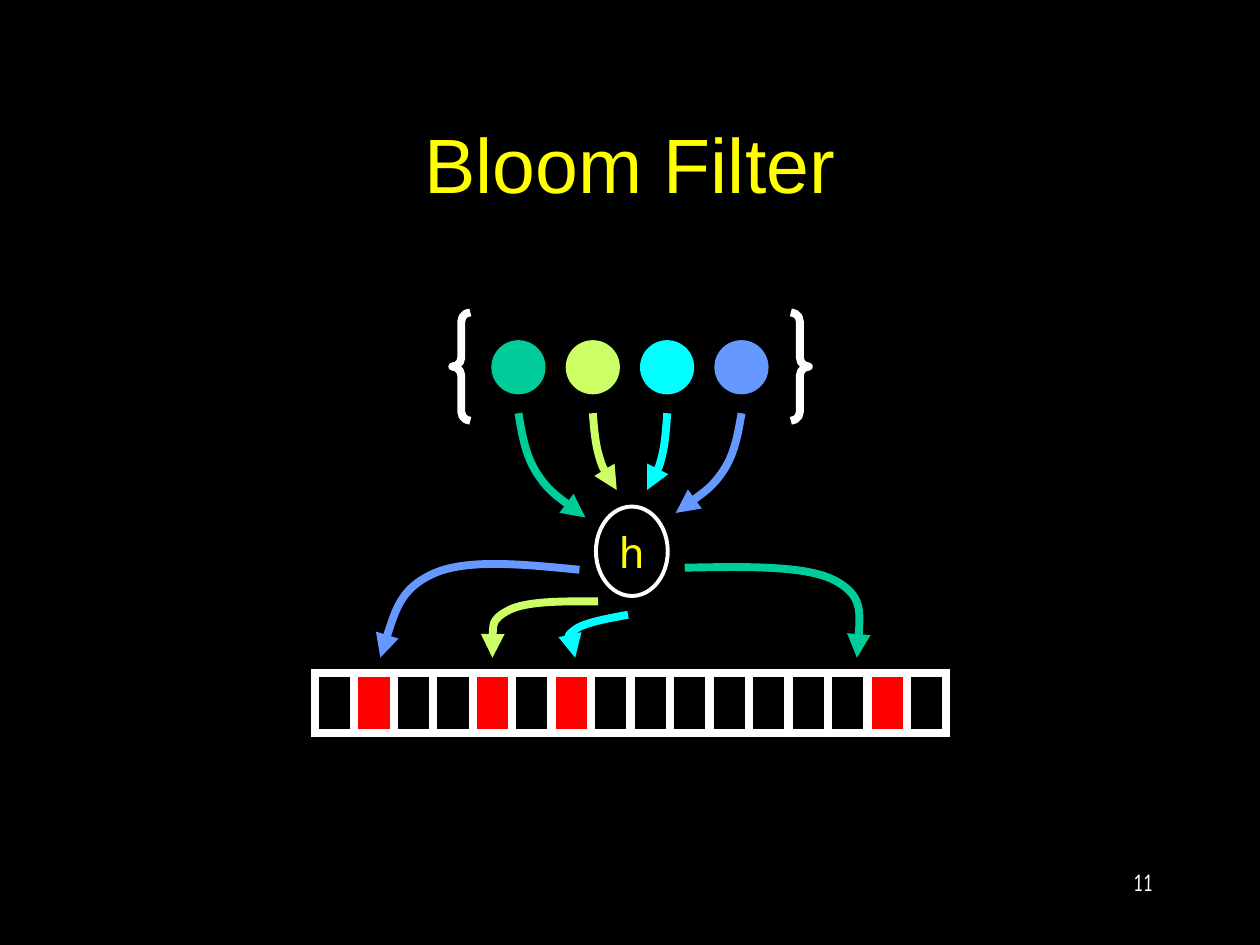
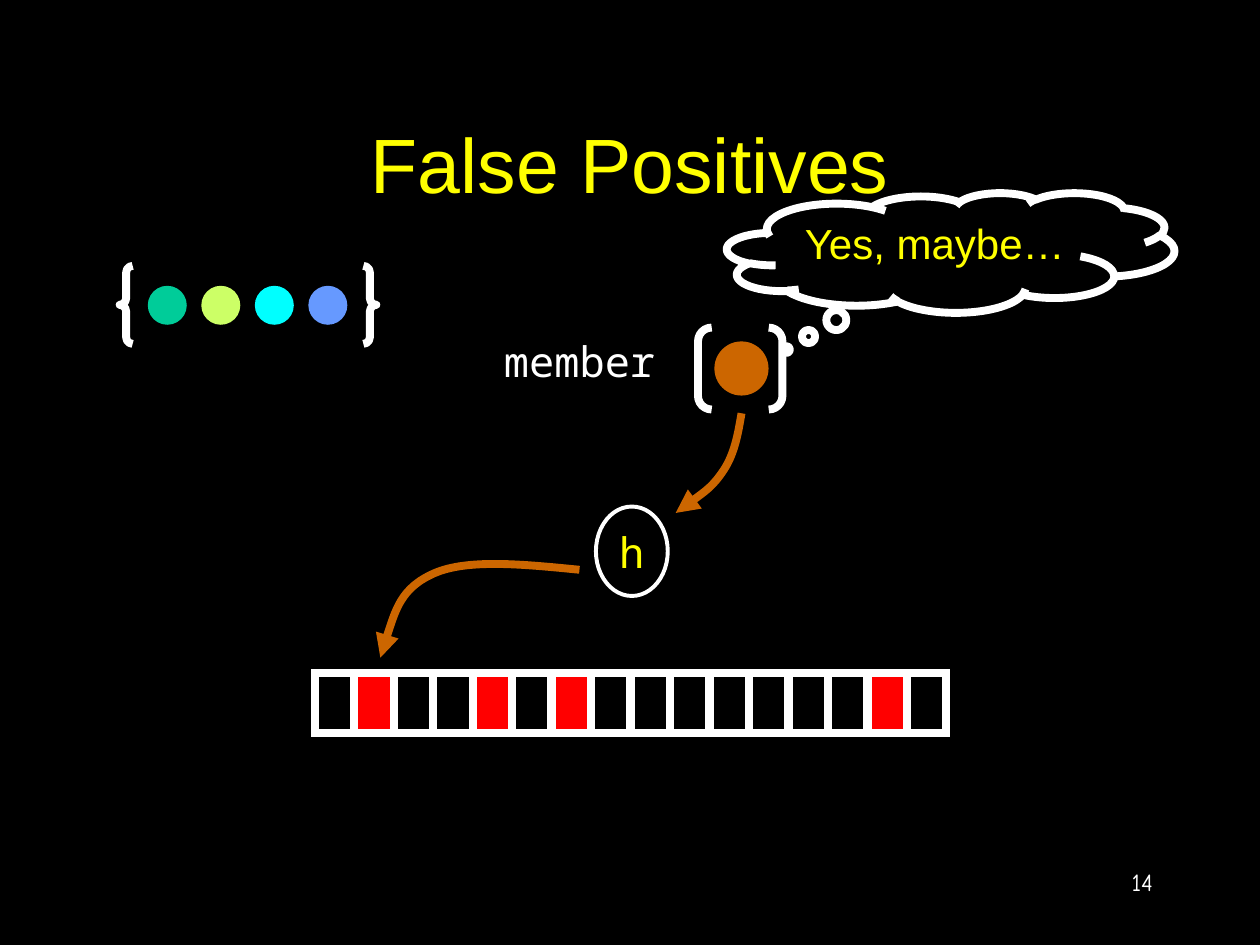
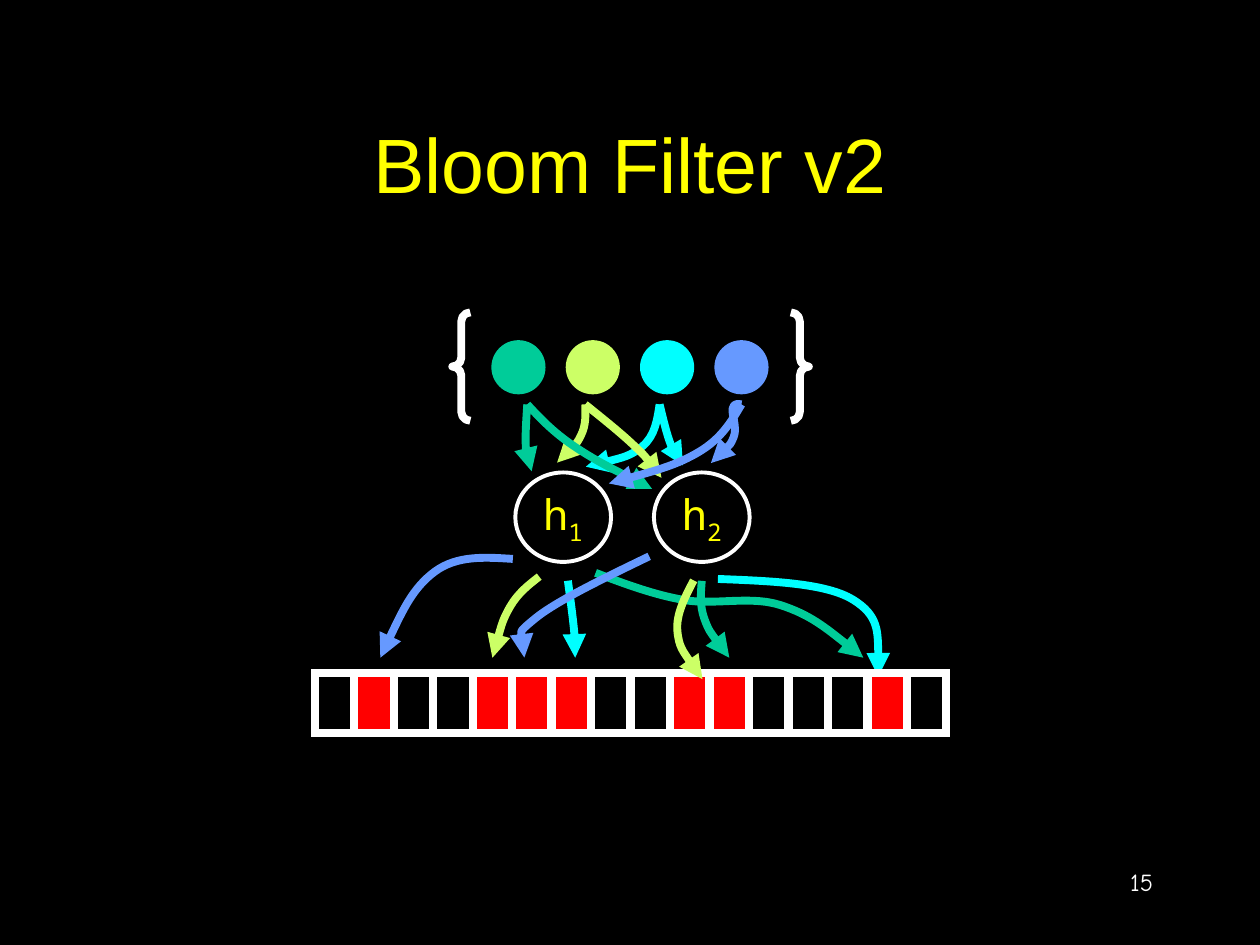
import dataclasses
import math

import lxml.etree
import pptx
import pptx.dml.color
import pptx.enum.shapes
import pptx.enum.text
import pptx.oxml.ns
import pptx.util

Inches = pptx.util.Inches
Pt = pptx.util.Pt
RGBColor = pptx.dml.color.RGBColor
SHAPE = pptx.enum.shapes.MSO_SHAPE
ALIGN = pptx.enum.text.PP_ALIGN
ANCHOR = pptx.enum.text.MSO_ANCHOR
FIT = pptx.enum.text.MSO_AUTO_SIZE
qn = pptx.oxml.ns.qn

BLACK = RGBColor(0x00, 0x00, 0x00)
WHITE = RGBColor(0xFF, 0xFF, 0xFF)
YELLOW = RGBColor(0xFF, 0xFF, 0x00)
RED = RGBColor(0xFF, 0x00, 0x00)
GREEN = RGBColor(0x00, 0xCC, 0x99)
LIME = RGBColor(0xCC, 0xFF, 0x66)
CYAN = RGBColor(0x00, 0xFF, 0xFF)
BLUE = RGBColor(0x66, 0x99, 0xFF)
ORANGE = RGBColor(0xCC, 0x66, 0x00)

TITLE_FONT = {"name": "Arial", "size": Pt(44)}
SPEECH_FONT = {"name": "Arial", "size": Pt(24)}
CODE_FONT = {"name": "Noto Sans Mono", "size": Pt(24)}
PAGE_FONT = {"name": "Comic Neue", "size": Pt(14)}
SNUG = {"word_wrap": False, "auto_size": FIT.SHAPE_TO_FIT_TEXT}
THICK, THIN = 4.5, 2.25

MEMBERS = (GREEN, LIME, CYAN, BLUE)
SET_LEFT, SET_TOP, SET_WIDTH, SET_HEIGHT = 3.59, 2.48, 2.83, 0.86
BALL_INSET_X, BALL_INSET_Y, BALL_SIZE, BALL_STEP = 0.31, 0.22, 0.43, 0.59

CELL_COUNT, ROW_LEFT, ROW_RIGHT, ROW_TOP = 16, 2.5, 7.51, 5.34
CELL_WIDTH, CELL_HEIGHT = 0.31, 0.48
CELL_STEP = (ROW_RIGHT - ROW_LEFT - CELL_WIDTH) / (CELL_COUNT - 1)

STORED_BITS = {1, 4, 6, 14}
STORED_BITS_V2 = STORED_BITS | {5, 9, 10}
COVERING_BITS = {10, 14}

HASH = (4.73, 4.02, 0.57, 0.71)
HASH_1 = (4.09, 3.75, 0.76, 0.71)
HASH_2 = (5.19, 3.75, 0.76, 0.71)

HASH_GAP, TIGHT_GAP, BIT_GAP = 0.15, 0.08, 0.12
NO_LEAN = (0, 0, 0, 0)
LEAN_V2 = (0.07, -0.06, -0.06, 0)
INWARD_BEND = ((0.27, 0.57),)


@dataclasses.dataclass
class Input:
    member: int
    node: tuple
    degrees: float
    bends: tuple = INWARD_BEND


@dataclasses.dataclass
class Output:
    member: int
    node: tuple
    degrees: float
    bit: int
    bends: tuple
    shift: float = 0
    gap: float = BIT_GAP


BLUE_INPUT = Input(3, HASH, 323)
BLUE_OUTPUT = Output(3, HASH, 163, 1, ((0.73, 0.04),), shift=0.05)

INPUTS = [Input(1, HASH, 254), Input(2, HASH, 286), Input(0, HASH, 212), BLUE_INPUT]
OUTPUTS = [
    Output(0, HASH, 15, 14, ((0.87, 0.14),), shift=-0.24),
    BLUE_OUTPUT,
    Output(1, HASH, 128, 4, ((0.85, 0.16),)),
    Output(2, HASH, 94, 6, ((1.02, 0.36),), shift=0.03),
]

INPUTS_V2 = [
    Input(1, HASH_1, 264, ((0.14, 0.52),)),
    Input(2, HASH_1, 293, ((0.23, 0.67),)),
    Input(0, HASH_1, 237, ((-0.33, 0.64),)),
    Input(3, HASH_2, 279, ((0.29, 0.07), (0.25, 0.55))),
    Input(0, HASH_2, 211, ((0.37, 0.49),)),
    Input(1, HASH_2, 226, ((0.65, 0.57),)),
    Input(2, HASH_2, 251, ((0.47, 0.65),)),
    Input(3, HASH_1, 322, ((0.32, 0.6),)),
]
OUTPUTS_V2 = [
    Output(0, HASH_1, 61, 14, ((0.33, 0.32), (0.69, 0.38)), shift=-0.19),
    Output(3, HASH_1, 139, 1, ((0.59, 0.13),), shift=0.05),
    Output(1, HASH_1, 111, 4, ((0.62, 0.37),)),
    Output(2, HASH_1, 86, 6, ((0.83, 0.63),), shift=0.03),
    Output(2, HASH_2, 76, 14, ((0.84, 0.21),), shift=-0.07, gap=-0.03),
    Output(0, HASH_2, 90, 10, ((0.09, 0.49),)),
    Output(1, HASH_2, 97, 9, ((-1.86, 0.51),), shift=0.1, gap=-0.05),
    Output(3, HASH_2, 142, 5, ((0.91, 0.61),), shift=-0.06),
]


def set_values(target, values):
    for attribute, value in values.items():
        setattr(target, attribute, value)


def write(frame, text, font, color, align=ALIGN.CENTER, subscript="", **layout):
    set_values(frame, layout)
    paragraph = frame.paragraphs[0]
    paragraph.alignment = align
    for part in filter(None, (text, subscript)):
        run = paragraph.add_run()
        run.text = part
        set_values(run.font, font)
        run.font.color.rgb = color
    if subscript:
        run._r.get_or_add_rPr().set("baseline", "-25000")


def style(shape, fill=None, line=None, width=THICK):
    shape.shadow.inherit = False
    if fill is None:
        shape.fill.background()
    else:
        shape.fill.solid()
        shape.fill.fore_color.rgb = fill
    if line is None:
        shape.line.fill.background()
    else:
        shape.line.color.rgb = line
        shape.line.width = Pt(width)


def add_line_detail(shape, tag, **attributes):
    lxml.etree.SubElement(shape.line._get_or_add_ln(), qn(tag), **attributes)


def add_preset(shapes, preset, box, adjustments=(), **look):
    shape = shapes.add_shape(preset, *map(Inches, box))
    for index, value in enumerate(adjustments):
        shape.adjustments[index] = value
    style(shape, **look)
    return shape


def below_member(index, gap, lean):
    center = SET_LEFT + BALL_INSET_X + index * BALL_STEP + BALL_SIZE / 2
    return center + lean, SET_TOP + BALL_INSET_Y + BALL_SIZE + gap


def around_hash(node, degrees, gap):
    left, top, width, height = node
    angle = math.radians(degrees)
    return (left + width / 2 + (width / 2 + gap) * math.cos(angle),
            top + height / 2 + (height / 2 + gap) * math.sin(angle))


def above_bit(index, gap, shift):
    center = ROW_LEFT + index * CELL_STEP + CELL_WIDTH / 2
    return center + shift, ROW_TOP - gap


def between(start, end, share_x, share_y):
    return (start[0] + share_x * (end[0] - start[0]),
            start[1] + share_y * (end[1] - start[1]))


def smooth_path(stops):
    path = [stops[0]]
    for before, stop, after in zip(stops, stops[1:], stops[2:]):
        handle_x, handle_y = ((b - a) / 6 for a, b in zip(before, after))
        path += [(stop[0] - handle_x, stop[1] - handle_y), stop,
                 (stop[0] + handle_x, stop[1] + handle_y)]
    path.insert(1, between(path[0], path[1], 0.5, 0.5))
    path += [between(path[-1], stops[-1], 0.5, 0.5), stops[-1]]
    return path


def add_curved_arrow(slide, color, start, end, bends):
    stops = [start, *(between(start, end, *bend) for bend in bends), end]
    corners = [(Inches(x), Inches(y)) for x, y in smooth_path(stops)]
    builder = slide.shapes.build_freeform(*corners[0])
    builder.add_line_segments(corners[1:], close=False)
    arrow = builder.convert_to_shape()
    style(arrow, line=color)
    segments = list(arrow._element.iter(qn("a:lnTo")))
    for first in range(0, len(segments), 3):
        curve = lxml.etree.Element(qn("a:cubicBezTo"))
        segments[first].addprevious(curve)
        for segment in segments[first:first + 3]:
            curve.append(segment[0])
            segment.getparent().remove(segment)
    add_line_detail(arrow, "a:tailEnd", type="triangle")


def add_inputs(slide, inputs, colors=MEMBERS, gap=HASH_GAP, leans=NO_LEAN):
    for route in inputs:
        start = below_member(route.member, gap, leans[route.member])
        end = around_hash(route.node, route.degrees, gap)
        add_curved_arrow(slide, colors[route.member], start, end, route.bends)


def add_outputs(slide, outputs, colors=MEMBERS):
    for route in outputs:
        start = around_hash(route.node, route.degrees, HASH_GAP)
        end = above_bit(route.bit, route.gap, route.shift)
        add_curved_arrow(slide, colors[route.member], start, end, route.bends)


def add_member_set(slide, left=SET_LEFT, top=SET_TOP, scale=1):
    ball = BALL_SIZE * scale
    for index, color in enumerate(MEMBERS):
        ball_left = left + (BALL_INSET_X + index * BALL_STEP) * scale
        add_preset(slide.shapes, SHAPE.OVAL,
                   (ball_left, top + BALL_INSET_Y * scale, ball, ball), fill=color)
    add_preset(slide.shapes, SHAPE.DOUBLE_BRACE,
               (left, top, SET_WIDTH * scale, SET_HEIGHT * scale), line=WHITE)


def add_hash(slide, box, subscript=""):
    node = add_preset(slide.shapes, SHAPE.OVAL, box, line=WHITE, width=THIN)
    write(node.text_frame, "h", CODE_FONT, YELLOW, subscript=subscript,
          vertical_anchor=ANCHOR.MIDDLE, **SNUG)


def add_bits(slide, indexes, stored):
    bits = slide.shapes.add_group_shape().shapes
    for index in indexes:
        cell = add_preset(bits, SHAPE.RECTANGLE,
                          (ROW_LEFT + index * CELL_STEP, ROW_TOP, CELL_WIDTH, CELL_HEIGHT),
                          fill=RED if index in stored else BLACK, line=WHITE)
        add_line_detail(cell, "a:miter", lim="800000")


def add_slide(deck, heading, page):
    slide = deck.slides.add_slide(deck.slide_layouts[5])
    number = slide.shapes.add_textbox(*map(Inches, (7.17, 6.83, 2.08, 0.5)))
    write(number.text_frame, page, PAGE_FONT, WHITE, ALIGN.RIGHT, word_wrap=True)
    title = slide.shapes.title
    set_values(title, {"left": Inches(0.75), "top": Inches(0.67),
                       "width": Inches(8.5), "height": Inches(1.25)})
    write(title.text_frame, heading, TITLE_FONT, YELLOW,
          vertical_anchor=ANCHOR.MIDDLE)
    return slide


def build_bloom_filter(deck):
    slide = add_slide(deck, "Bloom Filter", "11")
    add_member_set(slide)
    add_hash(slide, HASH)
    add_inputs(slide, INPUTS)
    add_outputs(slide, OUTPUTS)
    add_bits(slide, range(CELL_COUNT), STORED_BITS)


def build_false_positives(deck):
    slide = add_slide(deck, "False Positives", "14")
    add_hash(slide, HASH)
    stranger = [ORANGE] * len(MEMBERS)
    add_inputs(slide, [BLUE_INPUT], stranger)
    add_outputs(slide, [BLUE_OUTPUT], stranger)
    add_preset(slide.shapes, SHAPE.OVAL, (5.67, 2.71, BALL_SIZE, BALL_SIZE), fill=ORANGE)
    add_preset(slide.shapes, SHAPE.DOUBLE_BRACKET, (5.54, 2.6, 0.67, 0.65),
               (0.167,), line=WHITE)
    query = slide.shapes.add_textbox(*map(Inches, (3.67, 2.61, 1.86, 0.63)))
    write(query.text_frame, "member", CODE_FONT, WHITE, **SNUG)
    answer = add_preset(slide.shapes, SHAPE.CLOUD_CALLOUT, (5.77, 1.53, 3.55, 0.95),
                        (-0.367, 0.81), fill=BLACK, line=WHITE)
    fill_color = answer._element.spPr.find(qn("a:solidFill"))[0]
    lxml.etree.SubElement(fill_color, qn("a:alpha"), val="85000")
    write(answer.text_frame, "Yes, maybe…", SPEECH_FONT, YELLOW,
          vertical_anchor=ANCHOR.TOP, word_wrap=True)
    add_member_set(slide, 0.95, 2.11, scale=0.72)
    add_bits(slide, range(CELL_COUNT), STORED_BITS)


def build_bloom_filter_v2(deck):
    slide = add_slide(deck, "Bloom Filter v2", "15")
    add_member_set(slide)
    add_bits(slide, sorted(set(range(CELL_COUNT)) - COVERING_BITS), STORED_BITS_V2)
    add_inputs(slide, INPUTS_V2, gap=TIGHT_GAP, leans=LEAN_V2)
    add_outputs(slide, OUTPUTS_V2)
    add_bits(slide, sorted(COVERING_BITS), STORED_BITS_V2)
    for subscript, node in (("1", HASH_1), ("2", HASH_2)):
        add_hash(slide, node, subscript)


def main():
    deck = pptx.Presentation()
    deck.slide_width, deck.slide_height = Inches(10), Inches(7.5)
    backdrop = deck.slide_master.background.fill
    backdrop.solid()
    backdrop.fore_color.rgb = BLACK
    build_bloom_filter(deck)
    build_false_positives(deck)
    build_bloom_filter_v2(deck)
    deck.save("out.pptx")


if __name__ == "__main__":
    main()
